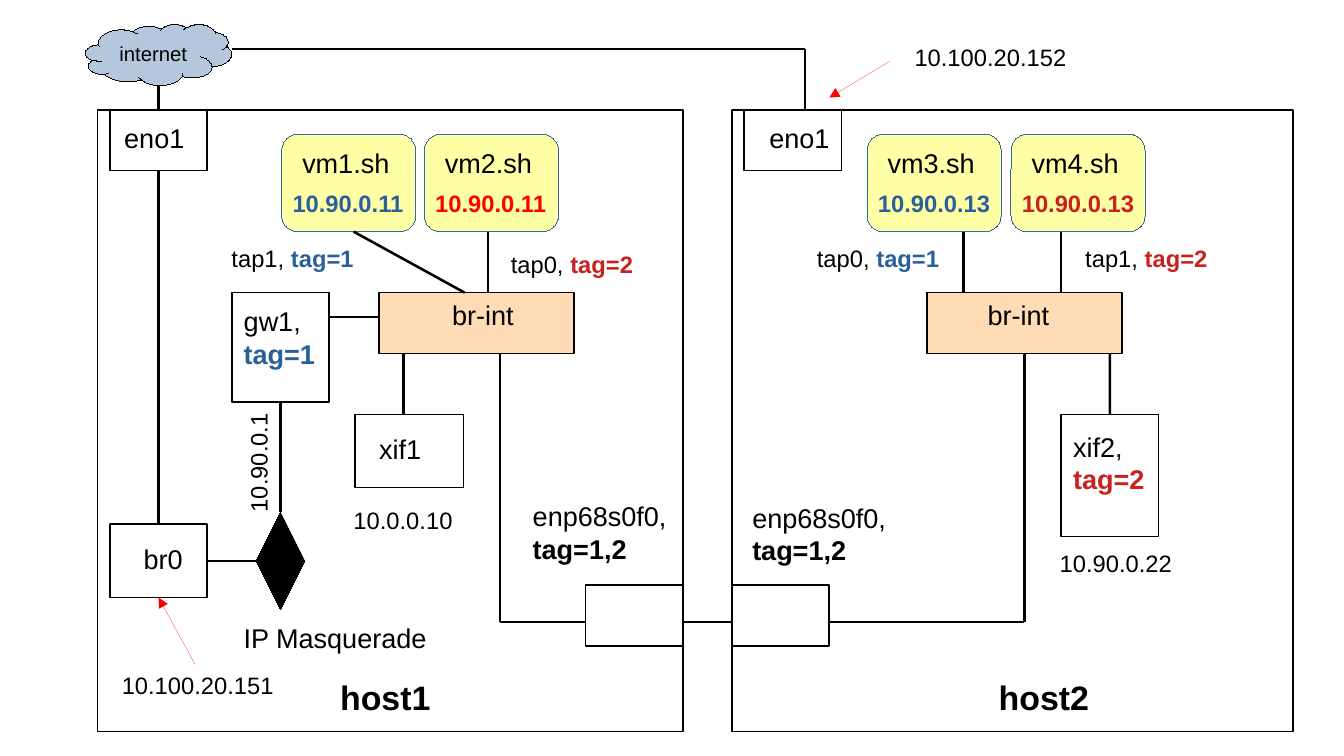
"""Draws two hosts whose virtual machines share a tagged bridge network."""
from lxml.etree import SubElement
from pptx import Presentation
from pptx.dml.color import RGBColor
from pptx.enum.shapes import MSO_CONNECTOR, MSO_SHAPE
from pptx.enum.text import MSO_ANCHOR, MSO_AUTO_SIZE, PP_ALIGN
from pptx.oxml.ns import qn
from pptx.util import Inches, Pt

BLACK, BLUE, RED, PURE = "000000", "2A6099", "C9211E", "FF0000"
HAIR = 0.01
STYLES = {
    "box": (MSO_SHAPE.RECTANGLE, "FFFFFF", BLACK, 1),
    "bridge": (MSO_SHAPE.RECTANGLE, "FFDBB6", BLACK, 1),
    "vm": (MSO_SHAPE.ROUNDED_RECTANGLE, "FFFFA6", "3465A4", HAIR),
    "cloud": (MSO_SHAPE.CLOUD, "B4C7DC", BLACK, HAIR),
    "mask": (MSO_SHAPE.DIAMOND, BLACK, BLACK, HAIR),
}
BOXES = [
    ("box", 0.8, 0.9, 4.8, 5.1), ("box", 6, 0.9, 4.6, 5.1),
    ("box", 0.9, 0.9, 0.8, 0.5), ("box", 6.1, 0.9, 0.8, 0.5),
    ("box", 0.9, 4.3, 0.8, 0.6), ("mask", 2.1, 4.2, 0.4, 0.8),
    ("box", 1.9, 2.4, 0.8, 0.9), ("box", 2.91, 3.4, 0.89, 0.6),
    ("box", 8.7, 3.4, 0.8, 1), ("box", 4.8, 4.8, 0.8, 0.5),
    ("box", 6, 4.8, 0.8, 0.5), ("bridge", 3.11, 2.4, 1.6, 0.5),
    ("bridge", 7.6, 2.4, 1.6, 0.5),
]
VMS = [
    (2.31, "vm1.sh", "10.90.0.11", BLUE), (3.48, "vm2.sh", "10.90.0.11", PURE),
    (7.11, "vm3.sh", "10.90.0.13", BLUE), (8.29, "vm4.sh", "10.90.0.13", RED),
]
WIRES = [
    (1.3, 0.7, 1.3, 0.9), (1.3, 1.4, 1.3, 4.3), (2.3, 3.3, 2.3, 4.2),
    (2.1, 4.6, 1.7, 4.6), (3.11, 2.6, 2.71, 2.6), (2.9, 1.9, 3.81, 2.4),
    (4, 1.9, 4, 2.4), (3.31, 2.9, 3.31, 3.4), (4.1, 2.9, 4.1, 5.1),
    (4.8, 5.1, 4.1, 5.1), (6, 5.1, 5.6, 5.1), (8.4, 5.1, 6.8, 5.1),
    (8.4, 2.9, 8.4, 5.1), (7.9, 1.9, 7.9, 2.4), (8.7, 1.9, 8.7, 2.4),
    (9.1, 2.9, 9.1, 3.4), (6.6, 0.4, 6.6, 0.9),
]
UPLINK = (1.9, 0.4, 6.6, 0.4)
ARROWS = [(1.6, 5.45, 1.3, 4.9), (7.3, 0.5, 6.8, 0.8)]
NAMES = [
    (0.92, 0.95, 0.69, "eno1"), (6.21, 0.95, 0.69, "eno1"),
    (1.08, 4.4, 0.52, "br0"), (3.01, 3.5, 0.78, "xif1"),
    (3.61, 2.4, 0.7, "br-int"), (8, 2.4, 0.7, "br-int"),
    (1.9, 5.05, 1.7, "IP Masquerade"),
]
PAIRS = [
    (1.9, 2.45, 0.78, "gw1,", "tag=1", BLUE),
    (8.7, 3.48, 0.78, "xif2,", "tag=2", RED),
    (4.27, 4.05, 1.43, "enp68s0f0,", "tag=1,2", BLACK),
    (6.07, 4.06, 1.43, "enp68s0f0,", "tag=1,2", BLACK),
]
TAPS = [
    (1.8, 1.95, "tap1, ", "tag=1", BLUE), (4.09, 2, "tap0, ", "tag=2", RED),
    (6.6, 1.95, "tap0, ", "tag=1", BLUE), (8.8, 1.95, "tap1, ", "tag=2", RED),
]
ADDRS = [
    (2.8, 4.1, 1.12, "10.0.0.10", 0), (8.59, 4.45, 1.12, "10.90.0.22", 0),
    (1.57, 3.57, 1.11, "10.90.0.1", 270), (0.9, 5.45, 1.45, "10.100.20.151", 0),
    (7.4, 0.3, 1.45, "10.100.20.152", 0),
]
HOSTS = [(2.69, "host1"), (8.09, "host2")]

deck = Presentation()
deck.slide_width, deck.slide_height = Inches(11.02), Inches(6.2)
slide = deck.slides.add_slide(deck.slide_layouts[6])
sites = {}


def color(code):
    return RGBColor.from_string(code)


def write(frame, lines, size):
    frame.word_wrap = False
    for row, runs in enumerate(lines):
        para = frame.add_paragraph() if row else frame.paragraphs[0]
        for words, code, bold in runs:
            run = para.add_run()
            run.text = words
            looks = {"name": "Arial", "size": Pt(size), "bold": bold}
            for key, value in looks.items():
                setattr(run.font, key, value)
            run.font.color.rgb = color(code)


def label(x, y, w, lines, size=16, h=0.35, turn=0):
    text = slide.shapes.add_textbox(*map(Inches, (x, y, w, h)))
    text.rotation = turn
    write(text.text_frame, lines, size)
    text.text_frame.margin_right = 0
    text.text_frame.auto_size = MSO_AUTO_SIZE.SHAPE_TO_FIT_TEXT


def block(kind, x, y, w, h):
    form, fill, edge, width = STYLES[kind]
    shape = slide.shapes.add_shape(form, *map(Inches, (x, y, w, h)))
    shape.shadow.inherit = False
    shape.fill.solid()
    shape.fill.fore_color.rgb = color(fill)
    shape.line.color.rgb = color(edge)
    shape.line.width = Pt(width)
    if kind != "cloud":
        mids = [(x + w / 2, y), (x, y + h / 2), (x + w / 2, y + h), (x + w, y + h / 2)]
        for side, (a, b) in enumerate(mids):
            sites[round(a, 2), round(b, 2)] = shape, side
    return shape


def wire(x1, y1, x2, y2, width=1.5, code=BLACK, arrow=False):
    line = slide.shapes.add_connector(
        MSO_CONNECTOR.STRAIGHT, *map(Inches, (x1, y1, x2, y2)))
    line.line.width = Pt(width)
    line.line.color.rgb = color(code)
    props = line.line._get_or_add_ln()
    if arrow:
        SubElement(props, qn("a:tailEnd"), type="triangle")
    SubElement(props.getparent(), qn("a:effectLst"))
    for spot, join in (((x1, y1), line.begin_connect), ((x2, y2), line.end_connect)):
        if spot in sites:
            join(*sites[spot])


for box in BOXES:
    block(*box)
for x, name, addr, code in VMS:
    block("vm", x, 1.1, 1.1, 0.8)
    label(x + 0.07, 1.15, 0.91, [[(name, BLACK, False)]])
    label(x - 0.01, 1.5, 1.12, [[(addr, code, True)]], 14)

cloud = block("cloud", 0.7, 0.2, 1.2, 0.5)
write(cloud.text_frame, [[("internet", BLACK, False)]], 12)
cloud.text_frame.vertical_anchor = MSO_ANCHOR.MIDDLE
cloud.text_frame.paragraphs[0].alignment = PP_ALIGN.CENTER

for ends in WIRES:
    wire(*ends)
wire(*UPLINK, width=1)
for ends in ARROWS:
    wire(*ends, width=HAIR, code=PURE, arrow=True)

for x, y, w, name in NAMES:
    label(x, y, w, [[(name, BLACK, False)]])
for x, y, w, name, tag, code in PAIRS:
    label(x, y, w, [[(name, BLACK, False)], [(tag, code, True)]], h=0.59)
for x, y, tap, tag, code in TAPS:
    label(x, y, 1.2, [[(tap, BLACK, False), (tag, code, True)]], 14)
for x, y, w, addr, turn in ADDRS:
    label(x, y, w, [[(addr, BLACK, False)]], 14, turn=turn)
for x, name in HOSTS:
    label(x, 5.5, 1.11, [[(name, BLACK, True)]], 20, h=0.41)

deck.save("out.pptx")
